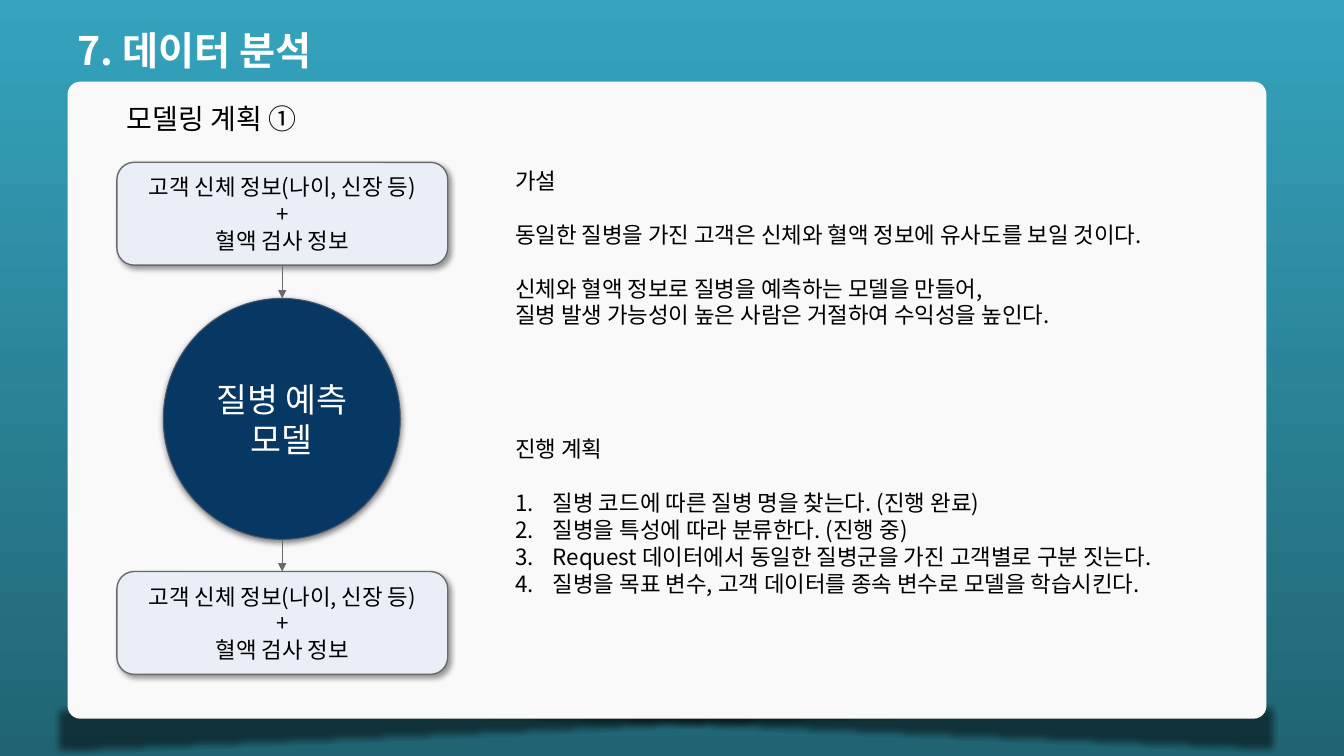
from lxml.etree import SubElement
from pptx import Presentation
from pptx.dml.color import RGBColor
from pptx.enum.shapes import MSO_CONNECTOR, MSO_SHAPE
from pptx.enum.text import MSO_ANCHOR, PP_ALIGN
from pptx.oxml.ns import qn
from pptx.util import Inches, Pt

WIDE, HIGH = Inches(13.33), Inches(7.5)
FONT = "Noto Sans CJK KR"
HEX = {
    "sky": "35A3BD", "deep": "206473", "card": "F9F9F9", "white": "FFFFFF",
    "black": "000000", "navy": "073763", "slate": "44546A",
    "pale": "EAEFF7", "gray": "6A6A6A",
}
LEAD = 1.2  # line height in font sizes

# Columns and rows, in percent of the slide
LEFT, MID, NOTE = 8.7, 21, 37.58
TOP, PLAN, LAST = 21.47, 56.93, 75.6
BOX_W, BOX_H = 24.61, 13.6
DISC = (12.15, 39.47, 17.63, 31.87)

INPUT = ["고객 신체 정보(나이, 신장 등)", "+", "혈액 검사 정보"]
GUESS = [
    "가설",
    "동일한 질병을 가진 고객은 신체와 혈액 정보에 유사도를 보일 것이다.",
    "신체와 혈액 정보로 질병을 예측하는 모델을 만들어,",
    "질병 발생 가능성이 높은 사람은 거절하여 수익성을 높인다.",
]
STEPS = [
    "진행 계획",
    "질병 코드에 따른 질병 명을 찾는다. (진행 완료)",
    "질병을 특성에 따라 분류한다. (진행 중)",
    "Request 데이터에서 동일한 질병군을 가진 고객별로 구분 짓는다.",
    "질병을 목표 변수, 고객 데이터를 종속 변수로 모델을 학습시킨다.",
]


def color(name):
    return RGBColor.from_string(HEX[name])


def place(x, y, *size):
    ends = (x, y, *size)
    return [int(v * (HIGH if i % 2 else WIDE) / 100) for i, v in enumerate(ends)]


def assign(item, form):
    for key, value in form.items():
        setattr(item, key, value)


def effect(shape, kind, **attrs):
    """Add one effect to a shape and return its element."""
    props = shape._element.spPr
    group = props.find(qn("a:effectLst"))
    if group is None:
        group = SubElement(props, qn("a:effectLst"))
    return SubElement(group, qn("a:" + kind), {k: str(v) for k, v in attrs.items()})


def alpha(node, share):
    SubElement(node, qn("a:alpha"), val=str(share * 1000))


def shade(shape, share, blur, dist, angle):
    node = effect(shape, "outerShdw", blurRad=Pt(blur), dist=Pt(dist),
                  dir=angle * 60000, algn="bl", rotWithShape=0)
    alpha(SubElement(node, qn("a:srgbClr"), val=HEX["black"]), share)


def number(para):
    props = para._p.get_or_add_pPr()
    props.set("marL", str(Pt(27)))
    props.set("indent", str(-Pt(27)))
    SubElement(props, qn("a:buFont"), typeface=FONT)
    SubElement(props, qn("a:buAutoNum"), type="arabicPeriod")


def write(shape, lines, size, ink="black", bold=False, align=PP_ALIGN.LEFT,
          gaps=(), listed=False):
    """Fill a shape with lines; gaps holds the lines with a space above."""
    frame = shape.text_frame
    frame.word_wrap = True
    for i, line in enumerate(lines):
        para = frame.paragraphs[0] if i == 0 else frame.add_paragraph()
        lead = Pt(size * LEAD)
        assign(para, {"alignment": align, "line_spacing": lead,
                      "space_before": lead if i in gaps else Pt(0)})
        run = para.add_run()
        run.text = line
        assign(run.font, {"size": Pt(size), "bold": bold, "name": FONT})
        run.font.color.rgb = color(ink)
        SubElement(run._r.get_or_add_rPr(), qn("a:ea"), typeface=FONT)
        if listed and i > 0:
            number(para)


def label(slide, area, lines, size, **form):
    write(slide.shapes.add_textbox(*place(*area)), lines, size, **form)


def solid(slide, kind, area, fill, edge=None, width=1):
    shape = slide.shapes.add_shape(kind, *place(*area))
    shape.shadow.inherit = False
    shape.fill.solid()
    shape.fill.fore_color.rgb = color(fill)
    if edge:
        shape.line.color.rgb = color(edge)
        shape.line.width = Pt(width)
    else:
        shape.line.fill.background()
    return shape


def node(slide, kind, area, lines, size, ink, look, cast):
    shape = solid(slide, kind, area, *look)
    shade(shape, *cast)
    shape.text_frame.vertical_anchor = MSO_ANCHOR.MIDDLE
    write(shape, lines, size, ink, align=PP_ALIGN.CENTER)


def wedge(slide, x, y, turn):
    """Soft dark wedge below the card."""
    shape = solid(slide, MSO_SHAPE.RIGHT_TRIANGLE, (x, y, 90.17, 6.67), "black")
    for key in turn:
        shape._element.spPr.xfrm.set(key, "1")
    alpha(shape._element.spPr.find(".//" + qn("a:srgbClr")), 51)
    effect(shape, "softEdge", rad=Pt(5))


def arrow(slide, start, end):
    line = slide.shapes.add_connector(
        MSO_CONNECTOR.STRAIGHT, *place(MID, start, MID, end))
    line.line.color.rgb = color("gray")
    line.line.width = Pt(1)
    SubElement(line.line._get_or_add_ln(), qn("a:tailEnd"), type="triangle")
    SubElement(line._element.spPr, qn("a:effectLst"))


def main():
    deck = Presentation()
    assign(deck, {"slide_width": WIDE, "slide_height": HIGH})
    slide = deck.slides.add_slide(deck.slide_layouts[6])

    # Background and card
    back = slide.background.fill
    back.gradient()
    back.gradient_angle = 270
    for stop, name in zip(back.gradient_stops, ("sky", "deep")):
        stop.color.rgb = color(name)
    wedge(slide, 4.88, 93.07, ("flipH", "flipV"))
    wedge(slide, 4.05, 93.33, ("flipV",))
    card = solid(slide, MSO_SHAPE.ROUNDED_RECTANGLE,
                 (5.03, 10.8, 89.2, 84.27), "card")
    card.adjustments[0] = 0.02

    # Headings
    label(slide, (5.03, 2.8, 56.41, 7.6), ["7. 데이터 분석"], 28,
          ink="white", bold=True)
    label(slide, (LEFT, 12.8, 30.38, 5.87), ["모델링 계획 ①"], 20)

    # Model flow
    node(slide, MSO_SHAPE.OVAL, DISC, ["질병 예측", "모델"], 24, "white",
         ("navy", "slate", 0.75), (50, 4.5, 1.5, 90))
    for top in (TOP, LAST):
        node(slide, MSO_SHAPE.ROUNDED_RECTANGLE, (LEFT, top, BOX_W, BOX_H),
             INPUT, 16, "black", ("pale", "gray"), (40, 4, 3, 45))
    arrow(slide, TOP + BOX_H, DISC[1])
    arrow(slide, DISC[1] + DISC[3], LAST)

    # Notes
    label(slide, (NOTE, TOP, 52.06, 22.93), GUESS, 16, gaps=(1, 2))
    label(slide, (NOTE, PLAN, 54.01, 22.93), STEPS, 16, gaps=(1,), listed=True)

    deck.save("out.pptx")


if __name__ == "__main__":
    main()
